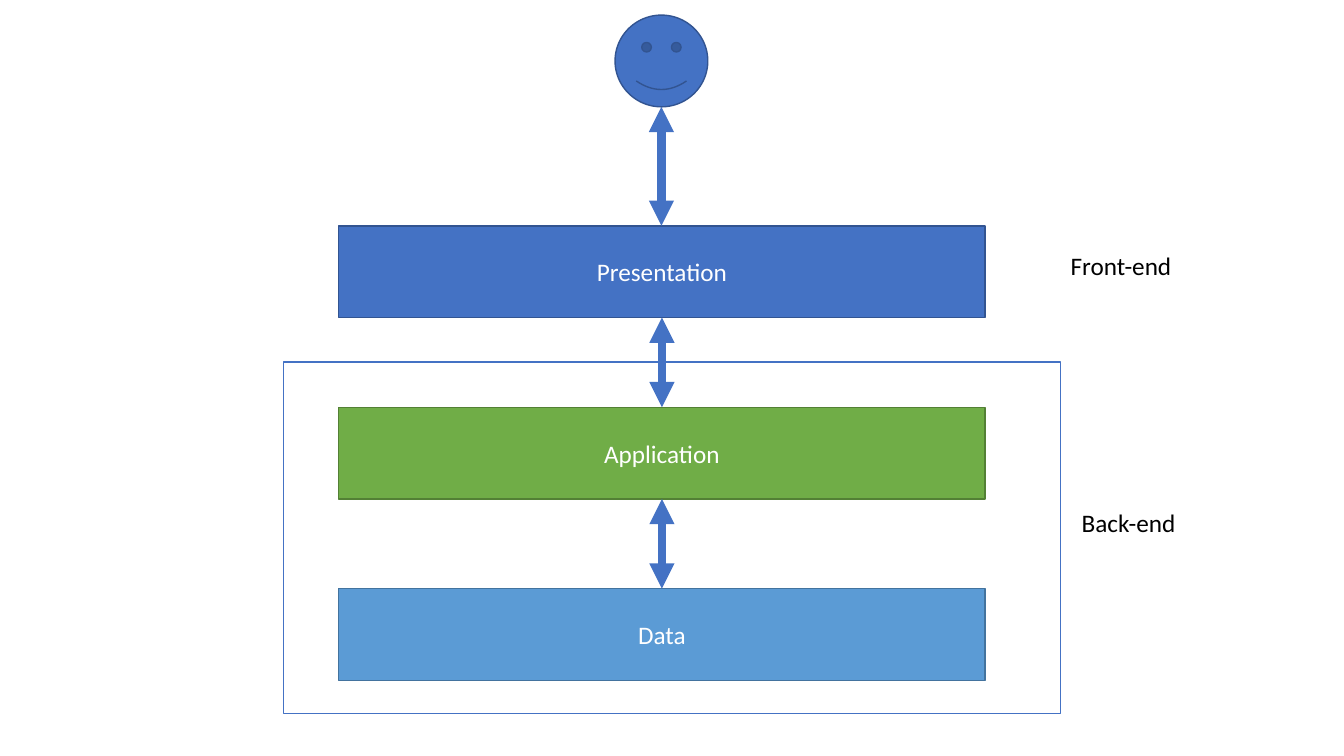
from pptx import Presentation
from pptx.dml.color import RGBColor
from pptx.enum.shapes import MSO_CONNECTOR, MSO_SHAPE
from pptx.enum.text import MSO_ANCHOR, MSO_AUTO_SIZE, PP_ALIGN
from pptx.oxml.ns import qn
from pptx.util import Inches, Pt
from lxml.etree import SubElement

COLORS = {
    "white": "FFFFFF",
    "black": "000000",
    "blue": "4472C4",
    "navy": "325491",
    "green": "70AD47",
    "forest": "538035",
    "sky": "5B9BD5",
    "steel": "43739E",
}


def color(name):
    return RGBColor.from_string(COLORS[name])


def write(shape, text, ink, align):
    frame = shape.text_frame
    frame.text = text
    para = frame.paragraphs[0]
    para.alignment = align
    font = para.runs[0].font
    font.name = "Calibri"
    font.size = Pt(18)
    font.color.rgb = color(ink)
    return frame


def draw_shape(slide, kind, box, fill, edge):
    shape = slide.shapes.add_shape(kind, *map(Inches, box))
    shape.shadow.inherit = False
    shape.fill.solid()
    shape.fill.fore_color.rgb = color(fill)
    shape.line.color.rgb = color(edge)
    shape.line.width = Pt(1)
    return shape


def draw_layer(slide, box, text, fill, edge):
    shape = draw_shape(slide, MSO_SHAPE.RECTANGLE, box, fill, edge)
    frame = write(shape, text, "white", PP_ALIGN.CENTER)
    frame.vertical_anchor = MSO_ANCHOR.MIDDLE


def draw_arrow(slide, x, top, bottom):
    arrow = slide.shapes.add_connector(
        MSO_CONNECTOR.STRAIGHT, Inches(x), Inches(top), Inches(x), Inches(bottom))
    arrow.line.color.rgb = color("blue")
    arrow.line.width = Pt(6)
    line = arrow.line._get_or_add_ln()
    for end in ("a:headEnd", "a:tailEnd"):
        SubElement(line, qn(end), type="triangle")
    SubElement(arrow._element.spPr, qn("a:effectLst"))


def draw_label(slide, box, text):
    label = slide.shapes.add_textbox(*map(Inches, box))
    frame = write(label, text, "black", PP_ALIGN.LEFT)
    frame.word_wrap = False
    frame.auto_size = MSO_AUTO_SIZE.SHAPE_TO_FIT_TEXT


def draw_stack(slide, box):
    left, top, width, height = box
    step = 1.8
    mid = left + width / 2
    layers = [
        ("Presentation", "blue", "navy"),
        ("Application", "green", "forest"),
        ("Data", "sky", "steel"),
    ]
    for i, (text, fill, edge) in enumerate(layers):
        y = top + i * step
        draw_layer(slide, (left, y, width, height), text, fill, edge)
        if i:
            draw_arrow(slide, mid, y - step + height, y)


def draw_user(slide, box, target):
    left, top, width, height = box
    draw_shape(slide, MSO_SHAPE.SMILEY_FACE, box, "blue", "navy")
    draw_arrow(slide, left + width / 2, top + height, target)


deck = Presentation()
deck.slide_width = Inches(13.33)
deck.slide_height = Inches(7.5)
slide = deck.slides.add_slide(deck.slide_layouts[6])

draw_shape(slide, MSO_SHAPE.RECTANGLE, (2.81, 3.59, 7.71, 3.49), "white", "blue")
draw_stack(slide, (3.36, 2.24, 6.41, 0.91))
draw_user(slide, (6.1, 0.15, 0.92, 0.91), 2.24)
draw_label(slide, (10.52, 2.43, 1.22, 0.4), "Front-end")
draw_label(slide, (10.63, 4.98, 1.15, 0.4), "Back-end")

deck.save("out.pptx")
